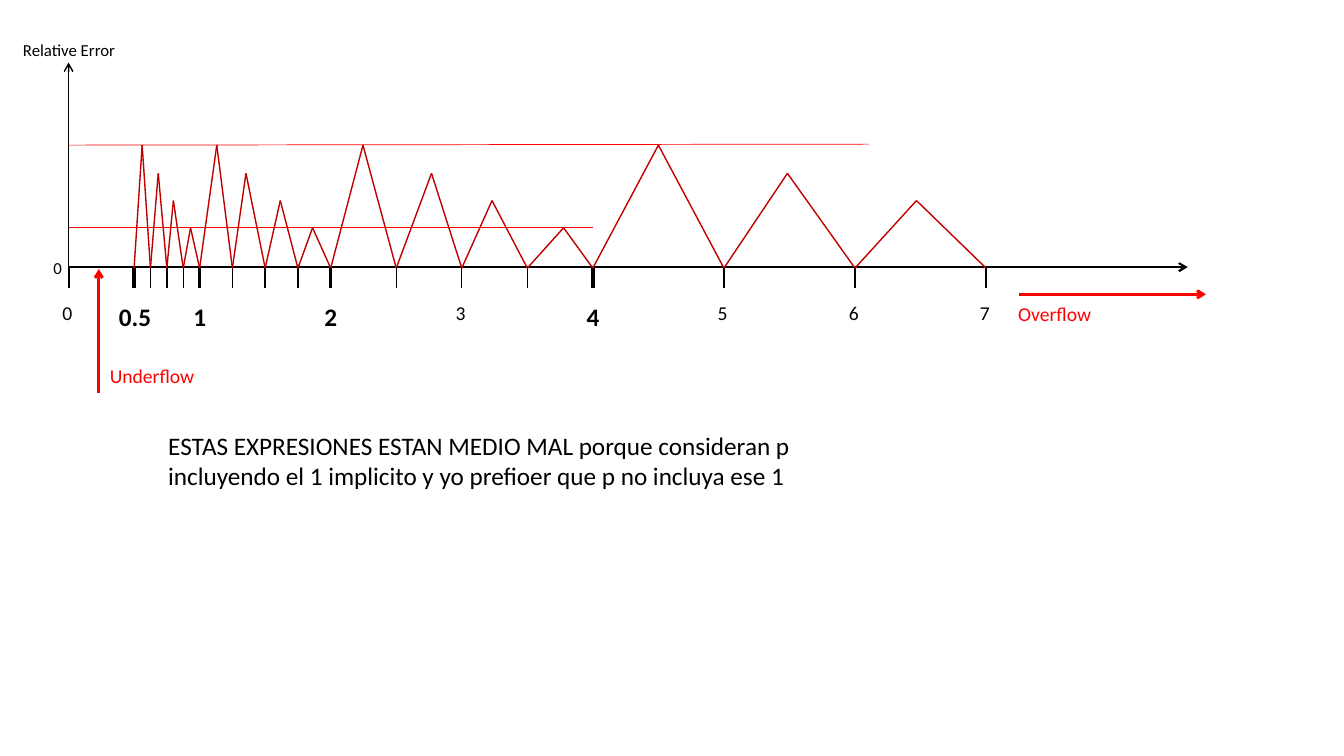
from lxml import etree
from pptx import Presentation
from pptx.dml.color import RGBColor
from pptx.enum import shapes, text
from pptx.oxml.ns import qn
from pptx.util import Inches, Pt

COLORS = {"ink": "000000", "alert": "FF0000", "error": "C00000"}

prs = Presentation()
prs.slide_width, prs.slide_height = Inches(13.33), Inches(7.5)
slide = prs.slides.add_slide(prs.slide_layouts[6])


def add_line(x1, y1, x2, y2, color, width, arrow=False):
    """Draw a straight line, with an open arrowhead at its end if asked."""
    line = slide.shapes.add_connector(
        shapes.MSO_CONNECTOR.STRAIGHT, Inches(x1), Inches(y1), Inches(x2), Inches(y2))
    line.line.color.rgb = RGBColor.from_string(COLORS[color])
    line.line.width = Pt(width)
    if arrow:
        etree.SubElement(line.line._get_or_add_ln(), qn("a:tailEnd"), type="arrow")
    etree.SubElement(line._element.spPr, qn("a:effectLst"))


def add_label(words, left, top, width, height, size, color="ink", bold=False):
    """Place left-aligned text that keeps to its own lines."""
    label = slide.shapes.add_textbox(
        Inches(left), Inches(top), Inches(width), Inches(height))
    label.text_frame.word_wrap = False
    label.text_frame.auto_size = text.MSO_AUTO_SIZE.SHAPE_TO_FIT_TEXT
    label.text_frame.text = words
    for paragraph in label.text_frame.paragraphs:
        font = paragraph.runs[0].font
        font.name, font.size, font.bold = "Calibri", Pt(size), bold
        font.color.rgb = RGBColor.from_string(COLORS[color])


# Axes: one unit of the number line is 1.3 inches
origin_x, axis_y, unit = 0.68, 2.65, 1.3
add_line(origin_x, axis_y, 11.78, axis_y, "ink", 1.5, arrow=True)
add_line(origin_x, axis_y, origin_x, 0.62, "ink", 1, arrow=True)
add_label("Relative Error", 0.13, 0.35, 1.13, 0.3, 12)
add_label("0", 0.43, 2.51, 0.29, 0.3, 12)

# Floating-point numbers: each power of two starts four equal steps
powers = [0.5, 1, 2, 4]
numbers = [start * (1 + step / 4) for start in powers for step in range(4)]
for number in [0] + numbers:
    x = origin_x + unit * number
    width = 2.5 if number in powers else 1.5 if number == 0 else 1
    add_line(x, axis_y, x, 2.86, "ink", width)

for number in [0, 0.5, 1, 2, 3, 4, 5, 6, 7]:
    bold = number in powers
    label_width = 0.58 if number == 0.5 else 0.33 if bold else 0.3
    left = origin_x + unit * number - (0.25 if number == 0.5 else 0.16)
    add_label(str(number), left, 2.94, label_width, 0.4 if bold else 0.34,
              18 if bold else 14, bold=bold)

# Relative error: a peak between neighbours, lower with each step
peak_xs = [1.41, 1.57, 1.72, 1.89, 2.15, 2.44, 2.78, 3.1,
           3.6, 4.28, 4.88, 5.59, 6.53, 7.81, 9.09]
peak_ys = [1.44, 1.72, 1.99, 2.26]
for index, peak_x in enumerate(peak_xs):
    for foot in numbers[index:index + 2]:
        add_line(origin_x + unit * foot, axis_y + 0.01,
                 peak_x, peak_ys[index % 4], "error", 1)

# Upper and lower error bounds
add_line(origin_x, 1.44, 8.62, 1.43, "alert", 0.5)
add_line(origin_x, 2.26, 5.88, 2.26, "alert", 0.5)

# Ranges that cannot be represented
add_line(0.98, 3.9, 0.98, 2.67, "alert", 2, arrow=True)
add_label("Underflow", 0.99, 3.56, 1.19, 0.34, 14, "alert")
add_line(10.11, 2.92, 11.96, 2.92, "alert", 2, arrow=True)
add_label("Overflow", 10, 2.95, 1.19, 0.34, 14, "alert")

add_label("ESTAS EXPRESIONES ESTAN MEDIO MAL porque consideran p\n"
          "incluyendo el 1 implicito y yo prefioer que p no incluya ese 1",
          1.57, 4.22, 6.49, 0.71, 18)

prs.save("out.pptx")
